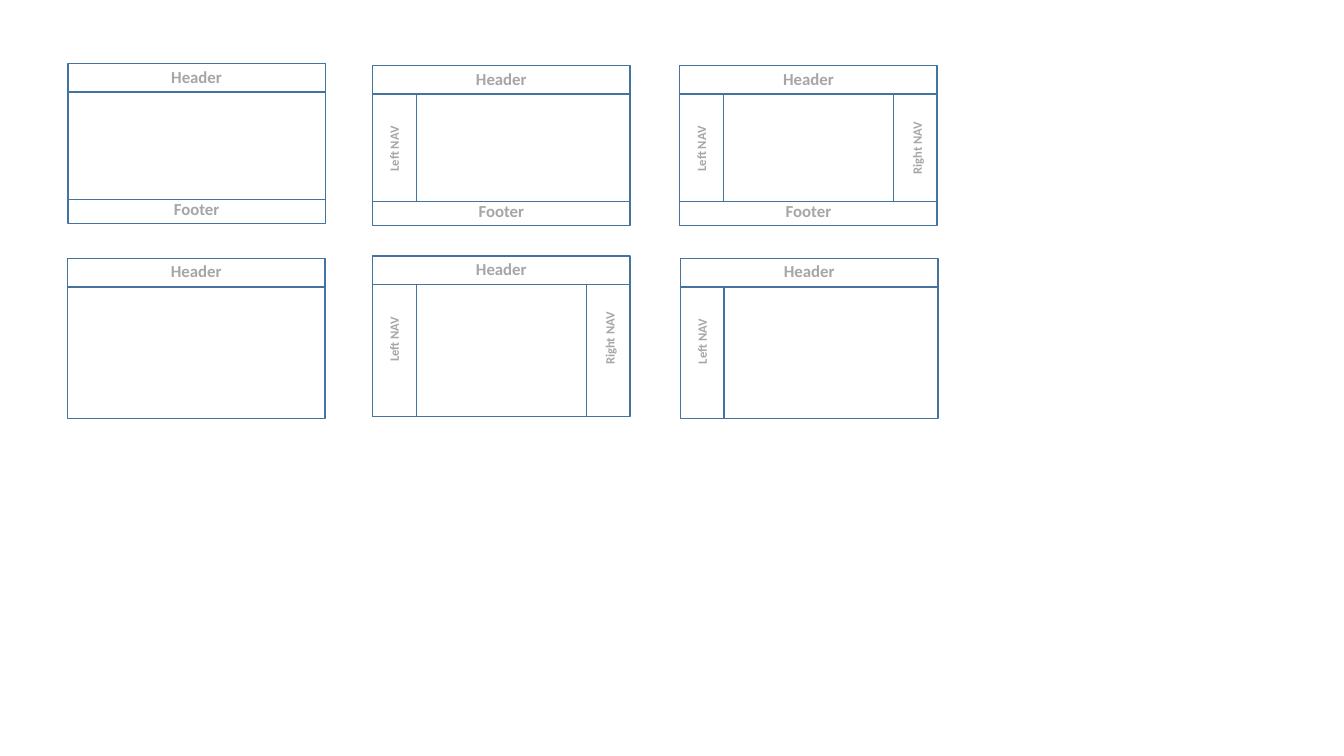
import pptx
import pptx.util
import pptx.dml.color
import pptx.enum.shapes
import pptx.enum.text
import pptx.oxml.ns
import lxml.etree

Cm = pptx.util.Cm
COLORS = {"line": "43739E", "fill": "FFFFFF", "text": "A6A6A6"}
WIDE, TALL = 6.49, 4.04
HEAD, FOOT = 0.72, 3.43
LEFT, RIGHT = 1.1, 5.39


class Sketch:
    font = "Calibri"
    stroke = pptx.util.Pt(1)

    def __init__(self, slide):
        self.slide = slide
        self.group = None

    def color(self, name):
        return pptx.dml.color.RGBColor.from_string(COLORS[name])

    def start(self, x, y):
        self.group = self.slide.shapes.add_group_shape()
        self.x, self.y = x, y

    def place(self, x, y):
        return Cm(self.x + x), Cm(self.y + y)

    def outline(self, item):
        item.line.color.rgb = self.color("line")
        item.line.width = self.stroke

    def frame(self):
        kind = pptx.enum.shapes.MSO_SHAPE.RECTANGLE
        box = self.group.shapes.add_shape(kind, *self.place(0, 0), Cm(WIDE), Cm(TALL))
        box.shadow.inherit = False
        box.fill.solid()
        box.fill.fore_color.rgb = self.color("fill")
        self.outline(box)

    def rule(self, x1, y1, x2, y2):
        kind = pptx.enum.shapes.MSO_CONNECTOR.STRAIGHT
        line = self.group.shapes.add_connector(kind, *self.place(x1, y1), *self.place(x2, y2))
        self.outline(line)
        tag = pptx.oxml.ns.qn("a:effectLst")
        lxml.etree.SubElement(line._element.spPr, tag)

    def label(self, text, x, y, wide, tall, size, turn=0):
        spot = self.place(x - wide / 2, y - tall / 2)
        box = self.group.shapes.add_textbox(*spot, Cm(wide), Cm(tall))
        box.rotation = turn
        frame = box.text_frame
        frame.word_wrap = False
        frame.auto_size = pptx.enum.text.MSO_AUTO_SIZE.SHAPE_TO_FIT_TEXT
        para = frame.paragraphs[0]
        para.alignment = pptx.enum.text.PP_ALIGN.CENTER
        run = para.add_run()
        run.text = text
        run.font.name = self.font
        run.font.size = pptx.util.Pt(size)
        run.font.bold = True
        run.font.color.rgb = self.color("text")

    def layout(self, x, y, parts):
        self.start(x, y)
        self.frame()
        self.rule(0, HEAD, WIDE, HEAD)
        self.label("Header", WIDE / 2, 0.33, 1.8, 0.77, 12)
        base = TALL
        if "footer" in parts:
            base = FOOT
            self.rule(0, FOOT, WIDE, FOOT)
            self.label("Footer", WIDE / 2, 3.66, 1.68, 0.77, 12)
        if "left" in parts:
            self.rule(LEFT, HEAD, LEFT, base)
            self.label("Left NAV", 0.54, 2.1, 1.68, 0.64, 9, 270)
        if "right" in parts:
            self.rule(RIGHT, HEAD, RIGHT, base)
            self.label("Right NAV", 5.98, 2.08, 1.88, 0.64, 9, 270)


deck = pptx.Presentation()
deck.slide_width, deck.slide_height = Cm(33.87), Cm(19.05)
sketch = Sketch(deck.slides.add_slide(deck.slide_layouts[6]))

LAYOUTS = [
    (1.71, 1.6, ["footer"]),
    (9.39, 1.65, ["footer", "left"]),
    (17.13, 1.65, ["footer", "left", "right"]),
    (1.7, 6.51, []),
    (9.39, 6.45, ["left", "right"]),
    (17.15, 6.51, ["left"]),
]
for x, y, parts in LAYOUTS:
    sketch.layout(x, y, parts)

deck.save("out.pptx")
